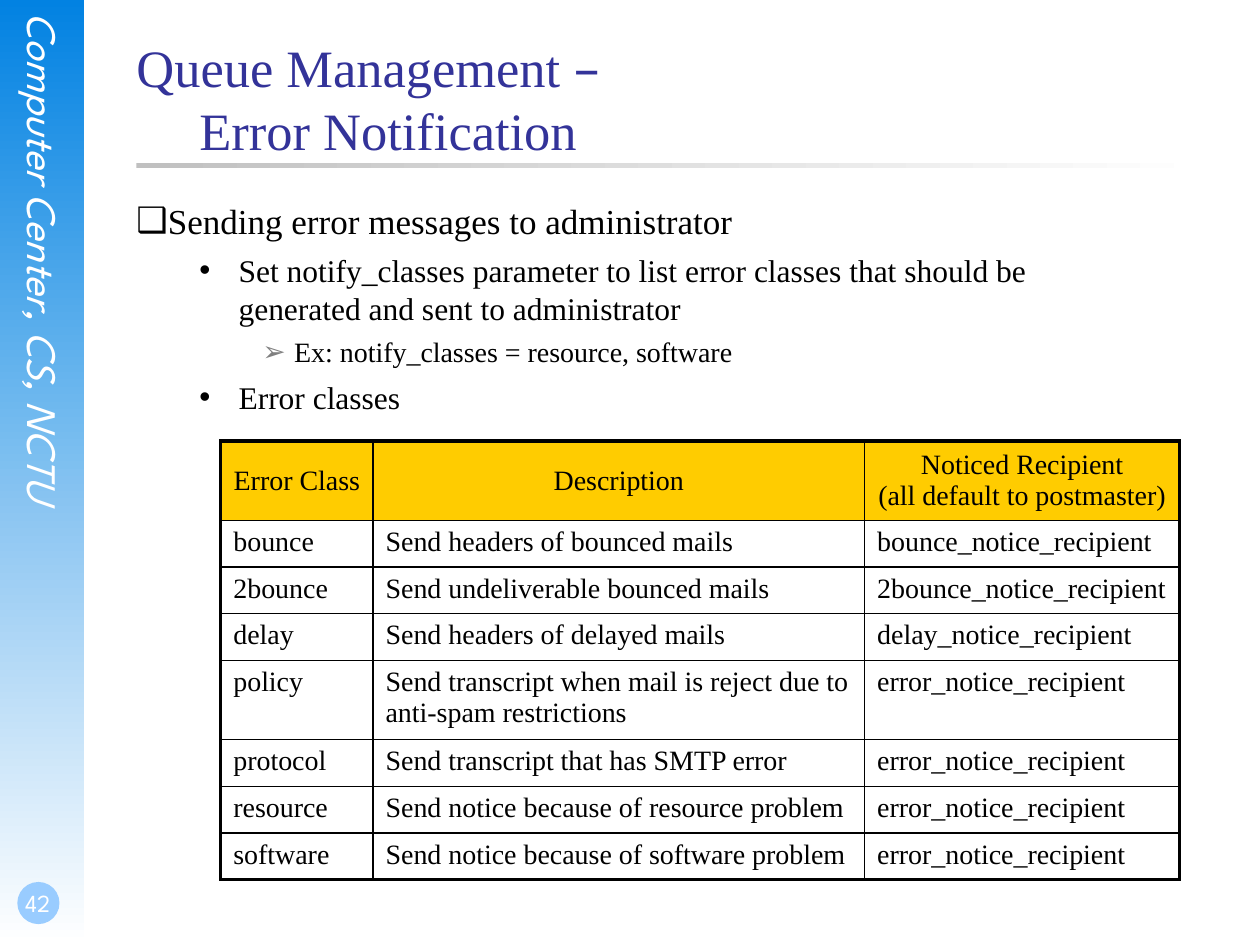
from lxml import etree
from pptx import Presentation
from pptx.dml.color import RGBColor
from pptx.enum.shapes import MSO_SHAPE
from pptx.enum.text import MSO_ANCHOR, MSO_AUTO_SIZE, PP_ALIGN
from pptx.oxml.ns import qn
from pptx.util import Cm, Pt

RECTANGLE, OVAL = MSO_SHAPE.RECTANGLE, MSO_SHAPE.OVAL
TOP, MIDDLE, BOTTOM = MSO_ANCHOR.TOP, MSO_ANCHOR.MIDDLE, MSO_ANCHOR.BOTTOM
LEFT, CENTER = PP_ALIGN.LEFT, PP_ALIGN.CENTER
NO_AUTOFIT = MSO_AUTO_SIZE.NONE

THEME = {
    "serif": "Times New Roman", "sans": "League Spartan", "dash": "DejaVu Sans",
    "title": "333399", "text": "000000", "light": "FFFFFF", "strip": "0282E2",
    "badge": "99CCFF", "rule": "C0C0C0", "header": "FFCC00", "arrow": "808080",
    "title_size": 30, "strip_size": 24, "number_size": 14, "table_size": 16,
    "level_sizes": [20, 18, 16],
}


def add_run(paragraph, text, size, color, font="serif", italic=False):
    run = paragraph.add_run()
    run.text = text
    values = {"name": THEME[font], "size": Pt(size), "bold": False, "italic": italic}
    for name, value in values.items():
        setattr(run.font, name, value)
    run.font.color.rgb = RGBColor.from_string(THEME[color])


def format_frame(frame, anchor, margins=(0, 0, 0, 0)):
    left, top, right, bottom = margins
    values = {"margin_left": Cm(left), "margin_top": Cm(top), "margin_right": Cm(right),
              "margin_bottom": Cm(bottom), "vertical_anchor": anchor,
              "word_wrap": True, "auto_size": NO_AUTOFIT}
    for name, value in values.items():
        setattr(frame, name, value)


presentation = Presentation()
presentation.slide_width, presentation.slide_height = Cm(25.4), Cm(19.05)
slide = presentation.slides.add_slide(presentation.slide_layouts[1])
shapes = slide.shapes

# Side strip, page badge and title rule: one colour, or a gradient with its angle
decorations = [
    (RECTANGLE, (0, 0, 1.7, 19.05), ["strip", "light"], 270),
    (OVAL, (0.35, 17.78, 0.85, 0.85), ["badge"], None),
    (RECTANGLE, (2.75, 3.28, 21.59, 0.1), ["rule", "light"], 0),
]
for kind, box, colors, angle in decorations:
    shape = shapes.add_shape(kind, *map(Cm, box))
    shape.shadow.inherit = False
    shape.line.fill.background()
    if angle is None:
        shape.fill.solid()
        shape.fill.fore_color.rgb = RGBColor.from_string(THEME[colors[0]])
    else:
        shape.fill.gradient()
        shape.fill.gradient_angle = angle
        for stop, color in zip(shape.fill.gradient_stops, colors):
            stop.color.rgb = RGBColor.from_string(THEME[color])

strip_label = shapes.add_textbox(Cm(0.38), Cm(0.25), Cm(1.02), Cm(12.98)).text_frame
format_frame(strip_label, TOP)
strip_label._txBody.bodyPr.set("vert", "eaVert")
add_run(strip_label.paragraphs[0], "Computer Center, CS, NCTU",
        THEME["strip_size"], "light", "sans", italic=True)

page_number = shapes.add_textbox(0, Cm(17.35), Cm(1.48), Cm(1.27)).text_frame
format_frame(page_number, BOTTOM, (0.05, 0, 0, 0.13))
page_number.paragraphs[0].alignment = CENTER
add_run(page_number.paragraphs[0], "42", THEME["number_size"], "light", "sans")

title, body = shapes.title, slide.placeholders[1]
for placeholder, box in [(title, (2.75, 0.71, 21.59, 3.18)), (body, (2.75, 4.02, 20.42, 12.9))]:
    placeholder.left, placeholder.top, placeholder.width, placeholder.height = map(Cm, box)
    format_frame(placeholder.text_frame, TOP)

heading = title.text_frame.paragraphs[0]
heading.alignment = LEFT
add_run(heading, "Queue Management ", THEME["title_size"], "title")
add_run(heading, "–", THEME["title_size"], "title", "dash")
heading.add_line_break()
add_run(heading, "\tError Notification", THEME["title_size"], "title")

# Bullet, its colour, left margin and hanging indent for each level
LEVELS = [("❑", "text", 0, 0), ("•", "text", 2.06, -0.79), ("➢", "arrow", 3.18, -0.64)]
bullets = [
    (0, "Sending error messages to administrator"),
    (1, "Set notify_classes parameter to list error classes that should be "
        "generated and sent to administrator"),
    (2, "Ex: notify_classes = resource, software"),
    (1, "Error classes"),
]
for index, (level, text) in enumerate(bullets):
    frame = body.text_frame
    paragraph = frame.add_paragraph() if index else frame.paragraphs[0]
    bullet, color, margin, indent = LEVELS[level]
    size = THEME["level_sizes"][level]
    paragraph.level = level
    paragraph.space_before = Pt(size * 0.3 if index else 0)
    properties = paragraph._p.get_or_add_pPr()
    properties.set("marL", str(Cm(margin)))
    properties.set("indent", str(Cm(indent)))
    bullet_color = etree.SubElement(properties, qn("a:buClr"))
    etree.SubElement(bullet_color, qn("a:srgbClr"), val=THEME[color])
    etree.SubElement(properties, qn("a:buChar"), char=bullet)
    add_run(paragraph, text, size, "text")

rows = [
    ("Error Class", "Description", "Noticed Recipient\v(all default to postmaster)"),
    ("bounce", "Send headers of bounced mails", "bounce_notice_recipient"),
    ("2bounce", "Send undeliverable bounced mails", "2bounce_notice_recipient"),
    ("delay", "Send headers of delayed mails", "delay_notice_recipient"),
    ("policy", "Send transcript when mail is reject due to\vanti-spam restrictions",
     "error_notice_recipient"),
    ("protocol", "Send transcript that has SMTP error", "error_notice_recipient"),
    ("resource", "Send notice because of resource problem", "error_notice_recipient"),
    ("software", "Send notice because of software problem", "error_notice_recipient"),
]
column_widths = [3.07, 9.91, 6.35]
last_row, last_column = len(rows) - 1, len(column_widths) - 1
table = shapes.add_table(len(rows), len(column_widths), Cm(4.45), Cm(8.89),
                         Cm(sum(column_widths)), Cm(8.84)).table
table.first_row = table.horz_banding = False
for column, width in zip(table.columns, column_widths):
    column.width = Cm(width)

for r, row in enumerate(rows):
    table.rows[r].height = Cm(1.6 if any("\v" in text for text in row) else 0.94)
    for c, text in enumerate(row):
        cell = table.cell(r, c)
        is_header = r == 0
        cell.vertical_anchor = MIDDLE if is_header else TOP
        if is_header:
            cell.fill.solid()
            cell.fill.fore_color.rgb = RGBColor.from_string(THEME["header"])
        else:
            cell.fill.background()
        paragraph = cell.text_frame.paragraphs[0]
        paragraph.alignment = CENTER if is_header else LEFT
        for number, line in enumerate(text.split("\v")):
            if number:
                paragraph.add_line_break()
            add_run(paragraph, line, THEME["table_size"], "text")
        # Thick outer frame, thin inner grid
        outer_edges = {"lnL": c == 0, "lnR": c == last_column,
                       "lnT": r == 0, "lnB": r == last_row}
        cell_properties = cell._tc.get_or_add_tcPr()
        for position, (edge, is_outer) in enumerate(outer_edges.items()):
            border = etree.Element(qn(f"a:{edge}"), w=str(Pt(2.25 if is_outer else 1)))
            border_fill = etree.SubElement(border, qn("a:solidFill"))
            etree.SubElement(border_fill, qn("a:srgbClr"), val=THEME["text"])
            cell_properties.insert(position, border)

presentation.save("out.pptx")
